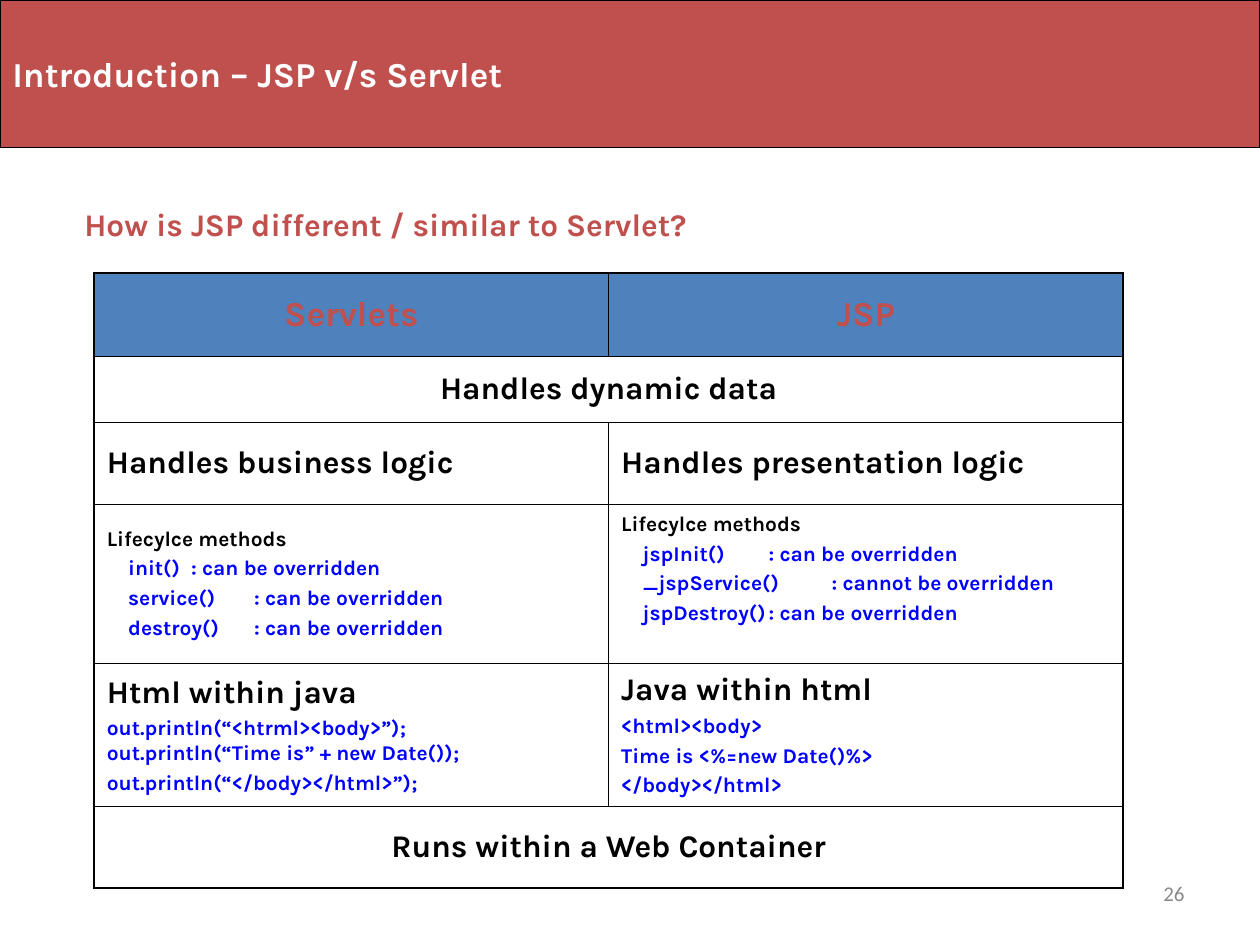
from lxml import etree
from pptx import Presentation
from pptx.dml.color import RGBColor
from pptx.enum.shapes import MSO_SHAPE
from pptx.enum.text import MSO_ANCHOR, PP_ALIGN
from pptx.oxml.ns import qn
from pptx.util import Cm, Pt

RECT = MSO_SHAPE.RECTANGLE
MIDDLE = MSO_ANCHOR.MIDDLE
LEFT, CENTER, RIGHT = PP_ALIGN.LEFT, PP_ALIGN.CENTER, PP_ALIGN.RIGHT

RED = RGBColor(0xC0, 0x50, 0x4D)
STEEL = RGBColor(0x4F, 0x81, 0xBD)
BLUE = RGBColor(0x00, 0x00, 0xFF)
BLACK = RGBColor(0x00, 0x00, 0x00)
WHITE = RGBColor(0xFF, 0xFF, 0xFF)
GRAY = RGBColor(0x89, 0x89, 0x89)

THICK, THIN = Pt(1.08), Pt(0.45)
COLS = [10.37, 10.37]
ROWS = [1.69, 1.32, 1.65, 3.22, 2.87, 1.65]
INDENT = Cm(0.43)


def head(text):
    return text, 20, RED


def point(text):
    return text, 18, BLACK


def label(text):
    return text, 12, BLACK


def code(text):
    return text, 12, BLUE


# Each row: one list of lines per cell; a single cell spans the table.
CELLS = [
    [[head("Servlets")], [head("JSP")]],
    [[point("Handles dynamic data")]],
    [[point("Handles business logic")], [point("Handles presentation logic")]],
    [
        [label("Lifecylce methods"),
         code("init()\t: can be overridden"),
         code("service()\t: can be overridden"),
         code("destroy()\t: can be overridden")],
        [label("Lifecylce methods"),
         code("jspInit()\t: can be overridden"),
         code("_jspService()\t: cannot be overridden"),
         code("jspDestroy()\t: can be overridden")],
    ],
    [
        [point("Html within java"),
         code("out.println(“<htrml><body>”);\nout.println(“Time is” + new Date());"),
         code("out.println(“</body></html>”);")],
        [point("Java within html"),
         code("<html><body>"),
         code("Time is <%=new Date()%>"),
         code("</body></html>")],
    ],
    [[point("Runs within a Web Container")]],
]
STOPS = [Cm(2.15), Cm(3.15)]
METHODS = 3


def write(para, text, size, color, font="Karla", bold=True, align=LEFT):
    para.alignment = align
    for i, line in enumerate(text.split("\n")):
        if i:
            para.add_line_break()
        run = para.add_run()
        run.text = line
        run.font.size = Pt(size)
        run.font.name = font
        run.font.bold = bold
        run.font.color.rgb = color


def set_tab(para, stop):
    """Indent a paragraph and give it one left tab stop."""
    props = para._p.get_or_add_pPr()
    props.set("marL", str(INDENT))
    props.set("indent", "0")
    tabs = etree.SubElement(props, qn("a:tabLst"))
    etree.SubElement(tabs, qn("a:tab"), pos=str(stop), algn="l")


def set_edges(cell, widths):
    """Draw the cell's borders; widths run left, right, top, bottom."""
    props = cell._tc.get_or_add_tcPr()
    for i, (side, width) in enumerate(zip("LRTB", widths)):
        line = etree.Element(qn("a:ln" + side), w=str(width))
        fill = etree.SubElement(line, qn("a:solidFill"))
        etree.SubElement(fill, qn("a:srgbClr"), val=str(BLACK))
        props.insert(i, line)


def fill_cell(cell, lines, align, stop):
    cell.vertical_anchor = MIDDLE
    frame = cell.text_frame
    for i, (text, size, color) in enumerate(lines):
        para = frame.add_paragraph() if i else frame.paragraphs[0]
        para.space_before = Pt(size / 4)
        write(para, text, size, color, align=align)
        if "\t" in text:
            set_tab(para, stop)


def add_grid(slide):
    shape = slide.shapes.add_table(len(ROWS), len(COLS), Cm(1.9), Cm(5.5),
                                   Cm(sum(COLS)), Cm(sum(ROWS)))
    table = shape.table
    table.first_row = table.horz_banding = False
    for col, width in zip(table.columns, COLS):
        col.width = Cm(width)
    last_row, last_col = len(ROWS) - 1, len(COLS) - 1
    for r, lines in enumerate(CELLS):
        table.rows[r].height = Cm(ROWS[r])
        wide = len(lines) == 1
        if wide:
            table.cell(r, 0).merge(table.cell(r, last_col))
        align = CENTER if wide or r == 0 else LEFT
        for c in range(len(COLS)):
            cell = table.cell(r, c)
            if r == 0:
                cell.fill.solid()
                cell.fill.fore_color.rgb = STEEL
            else:
                cell.fill.background()
            outer = [c == 0, wide or c == last_col, r == 0, r == last_row]
            set_edges(cell, [THICK if edge else THIN for edge in outer])
            if c < len(lines):
                fill_cell(cell, lines[c], align, STOPS[c])
    table.cell(METHODS, last_col).margin_bottom = Cm(0.73)


def add_text(slide, box, text, size, color, wrap=True, anchor=None, **style):
    shape = slide.shapes.add_textbox(*map(Cm, box))
    frame = shape.text_frame
    frame.word_wrap = wrap
    frame.vertical_anchor = anchor
    write(frame.paragraphs[0], text, size, color, **style)


def add_banner(slide, text):
    shape = slide.shapes.add_shape(RECT, 0, 0, Cm(25.4), Cm(2.97))
    shape.shadow.inherit = False
    shape.fill.solid()
    shape.fill.fore_color.rgb = RED
    shape.line.color.rgb = BLACK
    shape.line.width = Pt(0.75)
    frame = shape.text_frame
    frame.word_wrap = False
    frame.vertical_anchor = MIDDLE
    write(frame.paragraphs[0], text, 20, WHITE)


def main():
    deck = Presentation()
    deck.slide_width, deck.slide_height = Cm(25.4), Cm(19.05)
    slide = deck.slides.add_slide(deck.slide_layouts[6])
    add_grid(slide)
    add_text(slide, (18.21, 17.35, 5.92, 1.32), "26", 12, GRAY,
             anchor=MIDDLE, font="Calibri", bold=False, align=RIGHT)
    add_banner(slide, "Introduction – JSP v/s Servlet")
    add_text(slide, (1.45, 4.01, 13, 1.02),
             "How is JSP different / similar to Servlet?", 18, RED, wrap=False)
    deck.save("out.pptx")


if __name__ == "__main__":
    main()
